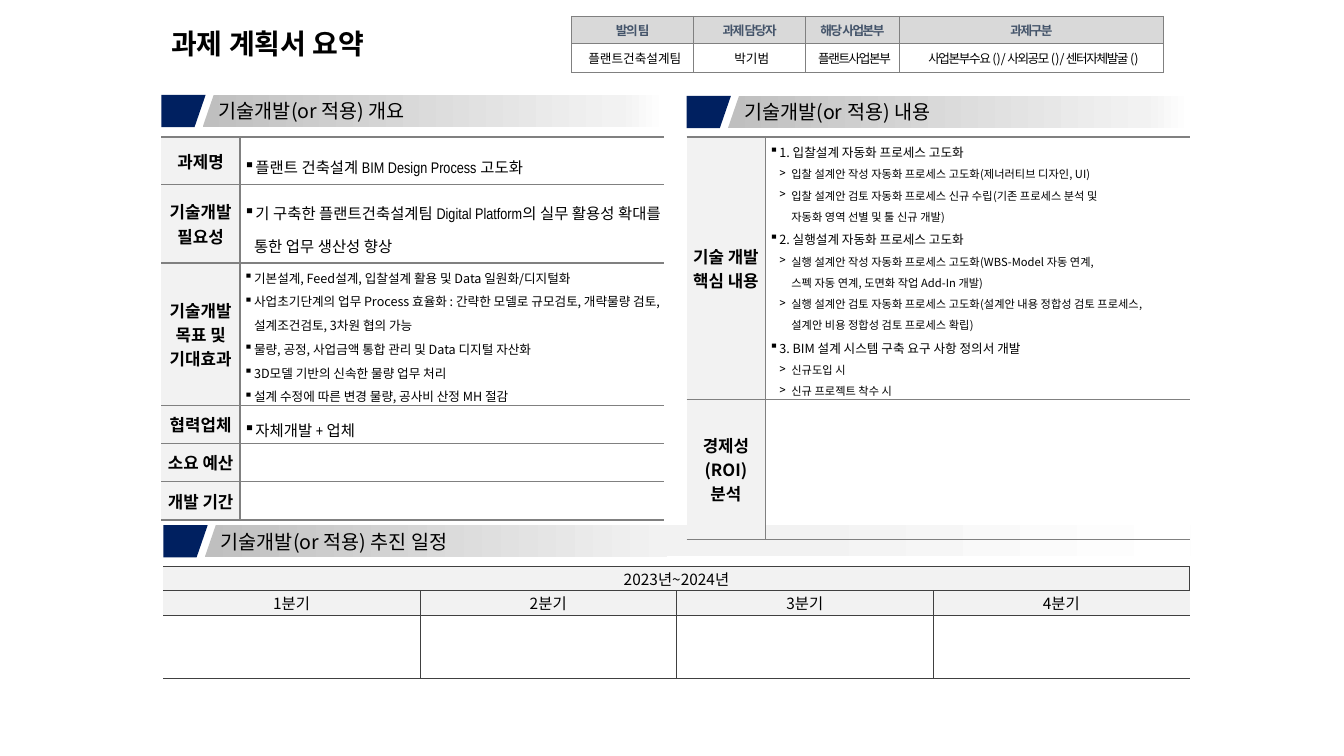
from lxml import etree
from pptx import Presentation
from pptx.dml.color import RGBColor
from pptx.enum.shapes import MSO_SHAPE
from pptx.enum.text import MSO_ANCHOR, PP_ALIGN
from pptx.oxml.ns import qn
from pptx.util import Inches, Pt

CENTER, LEFT = PP_ALIGN.CENTER, PP_ALIGN.LEFT
MIDDLE = MSO_ANCHOR.MIDDLE
RECTANGLE = MSO_SHAPE.RECTANGLE

SANS, NARROW = "Noto Sans CJK KR", "Arial Narrow"
COLORS = {
    "text": "000000", "navy": "002060", "slate": "44546A", "label": "F2F2F2",
    "header": "D9D9D9", "silver": "BFBFBF", "white": "FFFFFF",
    "grid": "808080", "schedule_grid": "404040",
}

TITLE = "과제 계획서 요약"
INFO = [
    ("발의 팀", "플랜트건축설계팀"),
    ("과제 담당자", "박기범"),
    ("해당 사업본부", "플랜트사업본부"),
    ("과제구분", "사업본부수요 ( ) / 사외공모 ( ) / 센터자체발굴 ( )"),
]
FADE = [(0, "silver"), (90, "label"), (100, "white")]
BANNERS = [
    (1.6, 0.94, "기술개발(or 적용) 개요", FADE),
    (6.81, 0.95, "기술개발(or 적용) 내용", FADE),
    (1.62, 5.21, "기술개발(or 적용) 추진 일정", [(0, "silver"), (100, "label")]),
]
SCHEDULE_FADE = [(0, "label"), (24, "label"), (100, "white")]

# Row height, label lines, Latin font, (paragraph level, text) pairs
OVERVIEW = [
    (0.47, ["과제명"], NARROW, [("main", "플랜트 건축설계 BIM Design Process 고도화")]),
    (0.78, ["기술개발", "필요성"], NARROW, [
        ("main", "기 구축한 플랜트건축설계팀 Digital Platform의 실무 활용성 확대를 통한 업무 생산성 향상")]),
    (1.41, ["기술개발", "목표 및", "기대효과"], SANS, [
        ("item", "기본설계, Feed설계, 입찰설계 활용 및 Data 일원화/디지털화"),
        ("item", "사업초기단계의 업무 Process 효율화 : 간략한 모델로 규모검토, 개략물량 검토, 설계조건검토, 3차원 협의 가능"),
        ("item", "물량, 공정, 사업금액 통합 관리 및 Data 디지털 자산화"),
        ("item", "3D모델 기반의 신속한 물량 업무 처리"),
        ("item", "설계 수정에 따른 변경 물량, 공사비 산정 MH 절감")]),
    (0.38, ["협력업체"], NARROW, [("main", "자체개발 + 업체")]),
    (0.38, ["소요 예산"], NARROW, []),
    (0.38, ["개발 기간"], NARROW, []),
]
DETAILS = [
    (2.6, ["기술 개발", "핵심 내용"], SANS, [
        ("item", "1. 입찰설계 자동화 프로세스 고도화"),
        ("sub", "입찰 설계안 작성 자동화 프로세스 고도화(제너러티브 디자인, UI)"),
        ("sub", "입찰 설계안 검토 자동화 프로세스 신규 수립(기존 프로세스 분석 및"),
        ("more", "자동화 영역 선별 및 툴 신규 개발)"),
        ("item", "2. 실행설계 자동화 프로세스 고도화"),
        ("sub", "실행 설계안 작성 자동화 프로세스 고도화(WBS-Model 자동 연계,"),
        ("more", "스펙 자동 연계, 도면화 작업 Add-In 개발)"),
        ("sub", "실행 설계안 검토 자동화 프로세스 고도화(설계안 내용 정합성 검토 프로세스,"),
        ("more", "설계안 비용 정합성 검토 프로세스 확립)"),
        ("item", "3. BIM 설계 시스템 구축 요구 사항 정의서 개발"),
        ("sub", "신규도입 시"),
        ("sub", "신규 프로젝트 착수 시")]),
    (1.39, ["경제성", "(ROI)", "분석"], SANS, []),
]
LEVELS = {
    "main": dict(size=11, spacing=1.5, bullet="▪", indent=0.1, hang=0.1),
    "item": dict(size=9, spacing=1.3, bullet="▪", indent=0.1, hang=0.1),
    "sub": dict(size=8, spacing=1.3, bullet=">", indent=0.22, hang=0.12),
    "more": dict(size=8, spacing=1.3, indent=0.22),
}
PERIOD = "2023년~2024년"
QUARTERS = ["1분기", "2분기", "3분기", "4분기"]


def rgb(name):
    return RGBColor.from_string(COLORS[name])


def write(frame, text, size=12, font=SANS, color="text", bold=False, align=LEFT,
          spacing=None, bullet=None, indent=0, hang=0, tracking=0):
    """Fill the empty first paragraph of the frame, or add one after the last."""
    paragraph = frame.paragraphs[0]
    if paragraph.runs:
        paragraph = frame.add_paragraph()
    properties = paragraph._p.get_or_add_pPr()
    if indent:
        properties.set("marL", str(Inches(indent)))
        properties.set("indent", str(-Inches(hang)))
    if bullet:
        etree.SubElement(properties, qn("a:buChar")).set("char", bullet)
    paragraph.alignment = align
    if spacing:
        paragraph.line_spacing = spacing
    run = paragraph.add_run()
    run.text = text
    run.font.size, run.font.bold, run.font.name = Pt(size), bold, font
    run.font.color.rgb = rgb(color)
    run_properties = run._r.get_or_add_rPr()
    etree.SubElement(run_properties, qn("a:ea")).set("typeface", SANS)
    if tracking:
        run_properties.set("spc", str(round(tracking * 100)))


def set_margins(target, left=0, top=0, right=0, bottom=0):
    target.margin_left, target.margin_top = Inches(left), Inches(top)
    target.margin_right, target.margin_bottom = Inches(right), Inches(bottom)


def set_gradient(shape, stops):
    shape.fill.gradient()
    shape.fill.gradient_angle = 0
    stop_list = shape._element.spPr.find(qn("a:gradFill")).find(qn("a:gsLst"))
    for stop in list(stop_list):
        stop_list.remove(stop)
    for position, color in stops:
        stop = etree.SubElement(stop_list, qn("a:gs"), pos=str(position * 1000))
        etree.SubElement(stop, qn("a:srgbClr"), val=COLORS[color])


def add_outline(slide, points):
    corners = [(Inches(x), Inches(y)) for x, y in points]
    builder = slide.shapes.build_freeform(*corners[0], scale=1.0)
    builder.add_line_segments(corners[1:], close=True)
    shape = builder.convert_to_shape()
    shape.shadow.inherit = False
    shape.line.fill.background()
    return shape


def add_banner(slide, x, y, text, stops):
    bottom = y + 0.32
    tab = add_outline(slide, [(x, y), (x + 0.44, y), (x + 0.33, bottom), (x, bottom)])
    tab.fill.solid()
    tab.fill.fore_color.rgb = rgb("navy")
    bar = add_outline(slide, [(x + 0.52, y), (x + 5, y), (x + 5, bottom), (x + 0.41, bottom)])
    set_gradient(bar, stops)
    frame = bar.text_frame
    set_margins(frame, left=0.16)
    frame.vertical_anchor = MIDDLE
    write(frame, text, size=14)


def set_borders(cell, sides, color, width):
    properties = cell._tc.get_or_add_tcPr()
    for side in "LRTB":
        line = etree.SubElement(properties, qn("a:ln" + side), w=str(Pt(width)))
        if side in sides:
            fill = etree.SubElement(line, qn("a:solidFill"))
            etree.SubElement(fill, qn("a:srgbClr"), val=COLORS[color])
        else:
            etree.SubElement(line, qn("a:noFill"))


def add_grid(slide, x, y, widths, heights, is_shaded, shade="label",
             color="grid", line_width=1, boxed=False):
    """Add a ruled table; its left and right edges are drawn only when boxed."""
    table = slide.shapes.add_table(len(heights), len(widths), Inches(x), Inches(y),
                                   Inches(sum(widths)), Inches(sum(heights))).table
    table.first_row = table.horz_banding = False
    for column, width in zip(table.columns, widths):
        column.width = Inches(width)
    for r, height in enumerate(heights):
        table.rows[r].height = Inches(height)
        for c in range(len(widths)):
            cell = table.cell(r, c)
            sides = "TB" + ("L" if boxed or c else "")
            sides += "R" if boxed or c < len(widths) - 1 else ""
            set_borders(cell, sides, color, line_width)
            if is_shaded(r, c):
                cell.fill.solid()
                cell.fill.fore_color.rgb = rgb(shade)
            else:
                cell.fill.background()
            set_margins(cell)
            cell.vertical_anchor = MIDDLE
    return table


def add_plan(slide, x, rows):
    table = add_grid(slide, x, 1.36, [0.78, 4.21], [row[0] for row in rows],
                     lambda r, c: c == 0)
    for r, (_, label, font, paragraphs) in enumerate(rows):
        for line in label:
            write(table.cell(r, 0).text_frame, line, font=font, bold=True, align=CENTER)
        body = table.cell(r, 1)
        body.margin_left = Inches(0.04)
        for level, text in paragraphs:
            write(body.text_frame, text, font=font, **LEVELS[level])


def add_schedule(slide):
    table = add_grid(slide, 1.62, 5.62, [10.18 / len(QUARTERS)] * len(QUARTERS),
                     [0.24, 0.24, 0.63], lambda r, c: r < 2,
                     color="schedule_grid", line_width=0.5)
    table.cell(0, 0).merge(table.cell(0, len(QUARTERS) - 1))
    write(table.cell(0, 0).text_frame, PERIOD, size=11, align=CENTER)
    for c, quarter in enumerate(QUARTERS):
        write(table.cell(1, c).text_frame, quarter, size=11, align=CENTER)


def add_info(slide):
    table = add_grid(slide, 5.67, 0.16, [1.21, 1.11, 0.93, 2.62], [0.27, 0.29],
                     lambda r, c: r == 0, shade="header", line_width=0.5, boxed=True)
    for c, (heading, value) in enumerate(INFO):
        top, below = table.cell(0, c), table.cell(1, c)
        set_margins(top, 0.04, 0.04, 0.04, 0.04)
        set_margins(below, 0.08, 0.04, 0.04, 0.04)
        write(top.text_frame, heading, size=9, color="slate", bold=True,
              align=CENTER, tracking=-1)
        write(below.text_frame, value, size=9, align=CENTER,
              spacing=Pt(13) if c < 2 else None, tracking=0 if c < 2 else -1)


def main():
    deck = Presentation()
    deck.slide_width, deck.slide_height = Inches(13.33), Inches(7.5)
    slide = deck.slides.add_slide(deck.slide_layouts[6])

    title = slide.shapes.add_textbox(Inches(1.6), Inches(0.16), Inches(4), Inches(0.58))
    title.text_frame.word_wrap = True
    title.text_frame.vertical_anchor = MIDDLE
    write(title.text_frame, TITLE, size=20, bold=True, spacing=0.9)

    for banner in BANNERS:
        add_banner(slide, *banner)
    extension = slide.shapes.add_shape(RECTANGLE, Inches(6.61), Inches(5.21),
                                       Inches(5.2), Inches(0.31))
    extension.shadow.inherit = False
    extension.line.fill.background()
    set_gradient(extension, SCHEDULE_FADE)

    add_plan(slide, 1.6, OVERVIEW)
    add_plan(slide, 6.81, DETAILS)
    add_schedule(slide)
    add_info(slide)
    deck.save("out.pptx")


if __name__ == "__main__":
    main()
